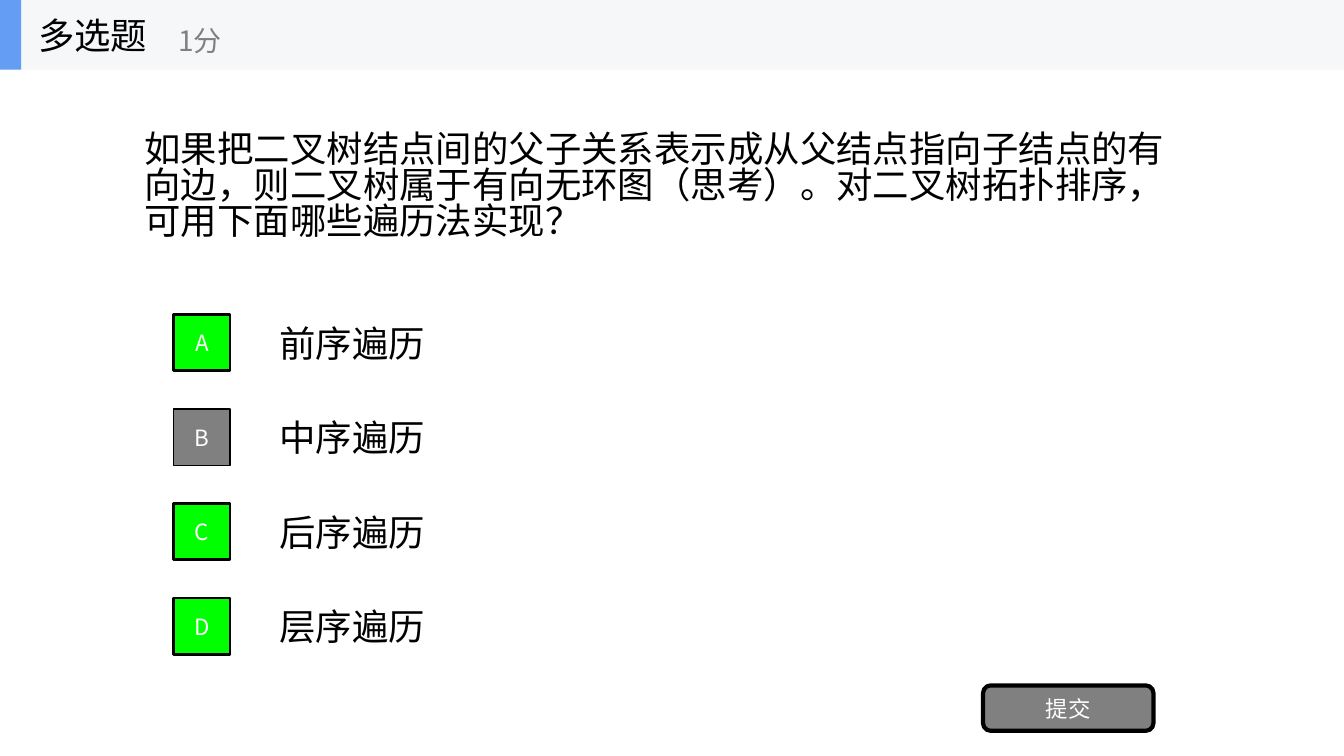
from pptx import Presentation
from pptx.dml.color import RGBColor
from pptx.enum.shapes import MSO_SHAPE
from pptx.enum.text import MSO_ANCHOR, MSO_AUTO_SIZE, PP_ALIGN
from pptx.util import Inches, Pt
from lxml.etree import SubElement
from pptx.oxml.ns import qn

COLORS = {
    "text": "000000",
    "white": "FFFFFF",
    "grey": "808080",
    "correct": "00FF00",
    "band": "F6F7F8",
    "accent": "639EF4",
}
FONT = "Noto Sans CJK SC"
WIDTH, HEIGHT = 13.33, 7.5
HEADER_H = 0.69
ROW_H = 0.9375
OPTIONS = [
    ("A", "前序遍历", True),
    ("B", "中序遍历", False),
    ("C", "后序遍历", True),
    ("D", "层序遍历", True),
]


def rgb(name):
    return RGBColor.from_string(COLORS[name])


def write(sp, text, size=26, color="text", align=PP_ALIGN.LEFT, wrap=True, spacing=None):
    tf = sp.text_frame
    tf.auto_size = MSO_AUTO_SIZE.NONE
    tf.word_wrap = wrap
    tf.vertical_anchor = MSO_ANCHOR.MIDDLE
    p = tf.paragraphs[0]
    p.alignment = align
    p.line_spacing = spacing
    r = p.add_run()
    r.text = text
    r.font.size = Pt(size)
    r.font.name = FONT
    r.font.color.rgb = rgb(color)
    SubElement(r.font._element, qn("a:ea"), typeface=FONT)


def add_text(shapes, box, text, **fmt):
    write(shapes.add_textbox(*map(Inches, box)), text, **fmt)


def add_block(shapes, box, fill, line=0, kind=MSO_SHAPE.RECTANGLE):
    sp = shapes.add_shape(kind, *map(Inches, box))
    sp.shadow.inherit = False
    sp.fill.solid()
    sp.fill.fore_color.rgb = rgb(fill)
    if line:
        sp.line.color.rgb = rgb("text")
        sp.line.width = Pt(line)
    else:
        sp.line.fill.background()
    return sp


def add_button(shapes, box, text, fill, line, kind=MSO_SHAPE.RECTANGLE):
    sp = add_block(shapes, box, fill, line, kind)
    write(sp, text, size=16, color="white", align=PP_ALIGN.CENTER)


def add_question(s, x, y, w, h):
    title = s.shapes.title
    title.left, title.top, title.width, title.height = map(Inches, (x, y, w, h))
    write(title, "如果把二叉树结点间的父子关系表示成从父结点指向子结点的有向边，"
          "则二叉树属于有向无环图（思考）。对二叉树拓扑排序，"
          "可用下面哪些遍历法实现？", spacing=0.83)


def add_options(s, x, y, w):
    for i, (letter, label, correct) in enumerate(OPTIONS):
        top = y + i * ROW_H
        add_text(s.shapes, (x + 1.34, top, w - 1.34, 0.7), label)
        fill, line = ("correct", 2) if correct else ("grey", 1)
        add_button(s.shapes, (x + 0.39, top + 0.07, 0.56, 0.56), letter, fill, line)


def add_header(s, x, y, w, h):
    shapes = s.shapes.add_group_shape().shapes
    add_block(shapes, (x, y, w, h), "band")
    add_block(shapes, (x, y, 0.21, h), "accent")
    add_text(shapes, (x + 0.28, y, 2.08, h), "多选题", wrap=False)
    add_text(shapes, (x + 1.67, y + 0.12, 2.5, 0.56), "1分",
             size=20, color="grey", wrap=False)


def main():
    prs = Presentation()
    prs.slide_width, prs.slide_height = Inches(WIDTH), Inches(HEIGHT)
    s = prs.slides.add_slide(prs.slide_layouts[5])
    left, body_w = WIDTH * 0.1, WIDTH * 0.8
    add_question(s, left, HEADER_H, body_w, 2.34)
    add_options(s, left, 3.05, body_w)
    add_button(s.shapes, (9.75, 6.8, 1.69, 0.45), "提交", "grey", 3,
               MSO_SHAPE.ROUNDED_RECTANGLE)
    add_header(s, 0, 0, WIDTH, HEADER_H)
    prs.save("out.pptx")


if __name__ == "__main__":
    main()
